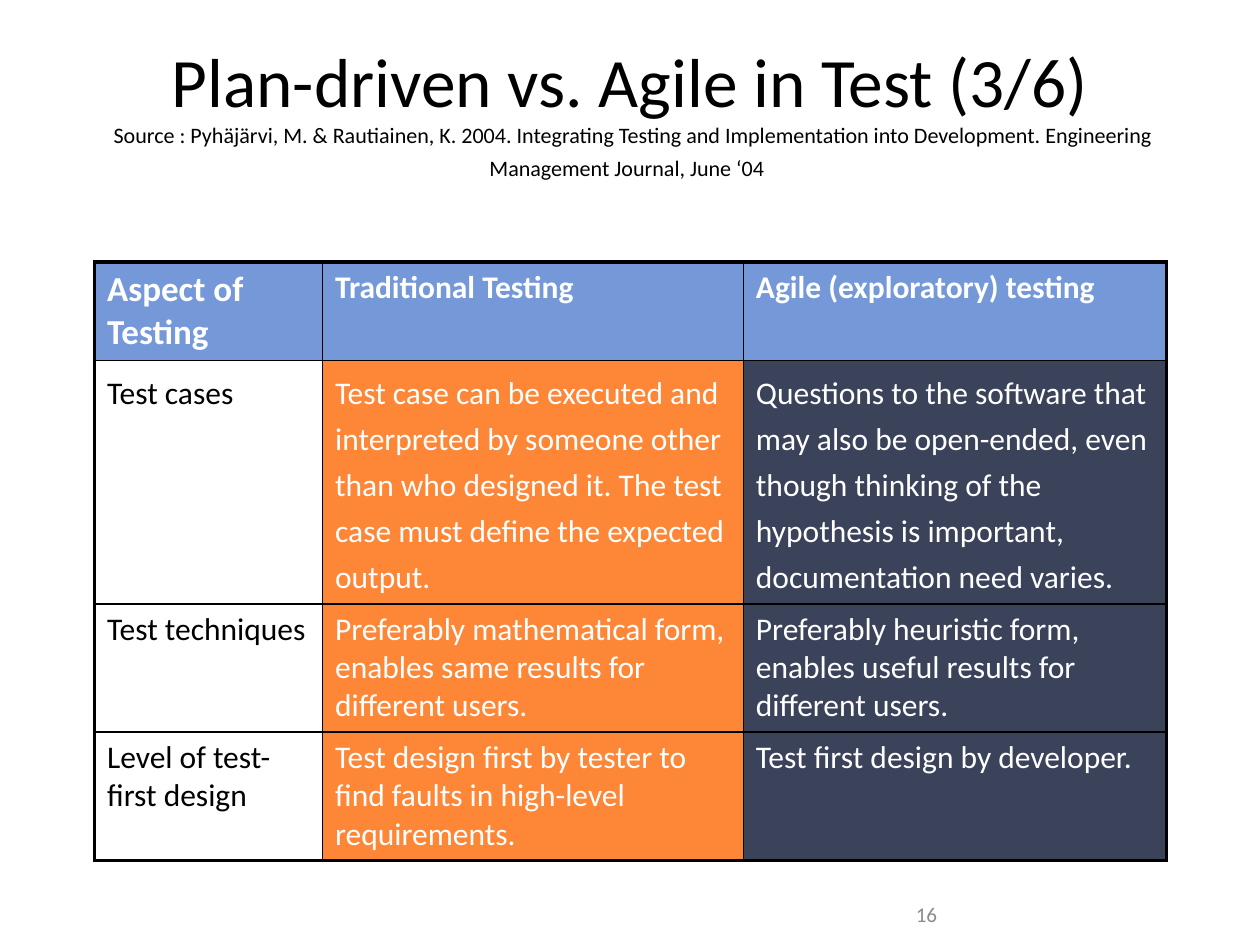
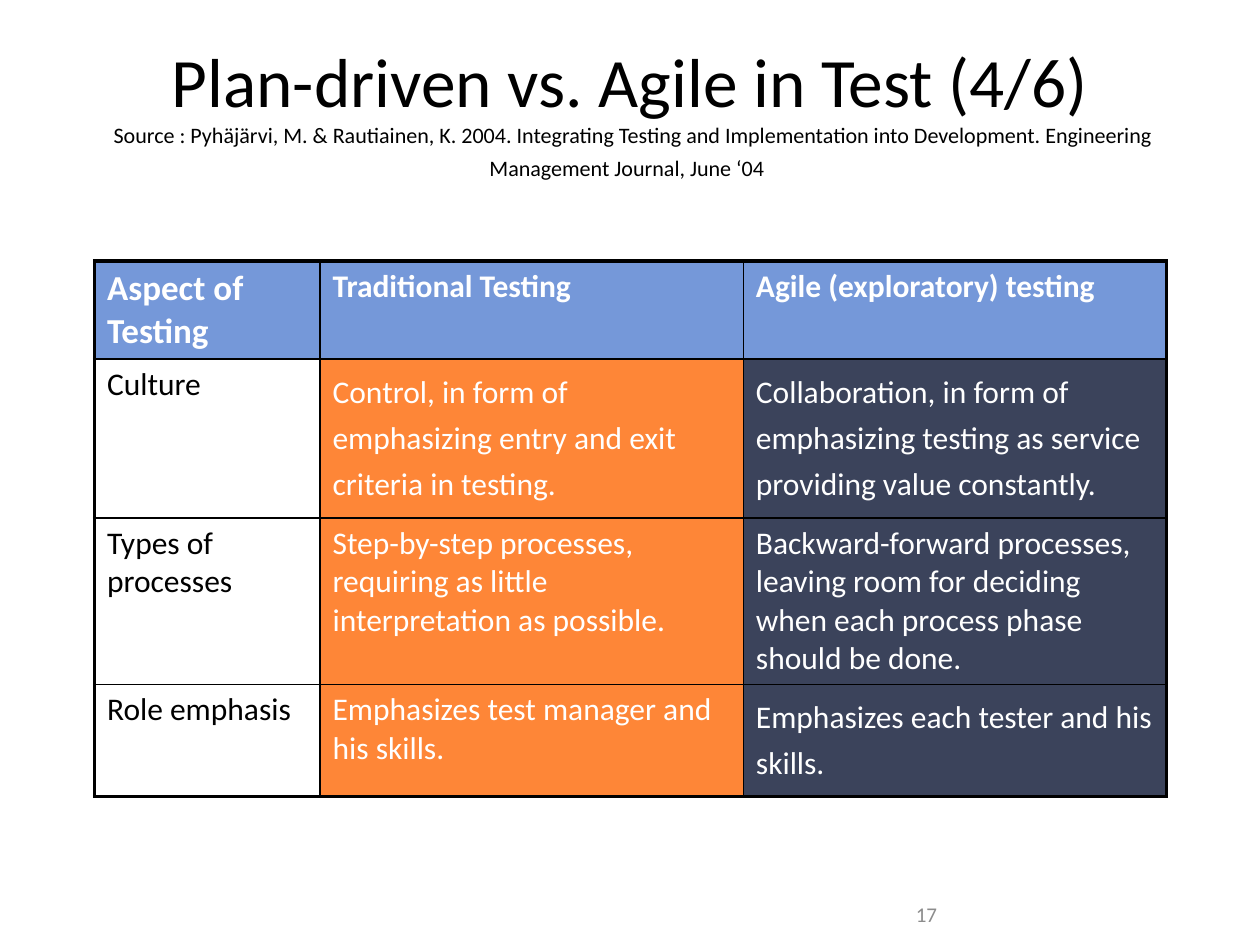
from lxml.etree import SubElement
from pptx import Presentation
from pptx.dml.color import RGBColor
from pptx.enum.text import MSO_ANCHOR, MSO_AUTO_SIZE, PP_ALIGN
from pptx.oxml.ns import qn
from pptx.util import Inches, Pt

COLORS = {"black": "000000", "white": "FFFFFF", "header": "7598D9",
          "traditional": "FE8637", "agile": "3B435B", "number": "8C8C8C"}
FORMATS = {
    "title": {"size": 39.6, "color": "black"},
    "source": {"size": 12.6, "color": "black"},
    "source_end": {"size": 16.2, "color": "black"},
    "corner": {"size": 20, "color": "white", "bold": True},
    "header": {"size": 18, "color": "white", "bold": True},
    "aspect": {"size": 18, "color": "black", "bold": False},
    "detail": {"size": 18, "color": "white", "bold": False},
    "number": {"size": 12, "color": "number"},
}
COLUMN_FILLS = ["white", "traditional", "agile"]
HEADERS = ["Aspect of Testing", "Traditional Testing", "Agile (exploratory) testing"]
SOURCE = (" Source : Pyhäjärvi, M. & Rautiainen, K. 2004. Integrating Testing and "
          "Implementation into Development. Engineering Management Journal, June ‘04")
THICK, THIN = 2.25, 1

SLIDES = [
    {"title": "Plan-driven vs. Agile in Test (3/6)", "number": "16", "top": 2.08,
     "widths": [1.81, 3.34, 3.36], "heights": [0.78, 1.93, 1.02, 1.02],
     "loose": {(1, 0), (1, 1), (1, 2)},
     "rows": [
         ["Test cases",
          "Test case can be executed and interpreted by someone other than who "
          "designed it. The test case must define the expected output.",
          "Questions to the software that may also be open-ended, even though "
          "thinking of the hypothesis is important, documentation need varies."],
         ["Test techniques",
          "Preferably mathematical form, enables same results for different users.",
          "Preferably heuristic form, enables useful results for different users."],
         ["Level of test-first design",
          "Test design first by tester to find faults in high-level requirements.",
          "Test first design by developer."]]},
    {"title": "Plan-driven vs. Agile in Test (4/6)", "number": "17", "top": 2.07,
     "widths": [1.79, 3.36, 3.36], "heights": [0.78, 1.26, 1.32, 0.89],
     "loose": {(1, 1), (1, 2), (3, 2)},
     "rows": [
         ["Culture",
          "Control, in form of emphasizing entry and exit criteria in testing.",
          "Collaboration, in form of emphasizing testing as service providing "
          "value constantly."],
         ["Types of processes",
          "Step-by-step processes, requiring as little interpretation as possible.",
          "Backward-forward processes, leaving room for deciding when each "
          "process phase should be done."],
         ["Role emphasis",
          "Emphasizes test manager and his skills.",
          "Emphasizes each tester and his skills."]]},
]


class Deck:
    def __init__(self):
        self.prs = Presentation()
        self.prs.slide_width, self.prs.slide_height = Inches(10), Inches(7.5)
        self.s = None

    def add_slide(self):
        self.s = self.prs.slides.add_slide(self.prs.slide_layouts[5])

    def run(self, p, text, style):
        r = p.add_run()
        r.text = text
        values = {"name": "Calibri", **FORMATS[style]}
        values["size"] = Pt(values["size"])
        r.font.color.rgb = RGBColor.from_string(COLORS[values.pop("color")])
        for key, value in values.items():
            setattr(r.font, key, value)

    def title(self, text):
        sp = self.s.shapes.title
        sp.left, sp.top, sp.width, sp.height = map(Inches, (0.75, 0.25, 8.5, 1.25))
        tf = sp.text_frame
        tf.auto_size = MSO_AUTO_SIZE.NONE
        tf.vertical_anchor = MSO_ANCHOR.MIDDLE
        p = tf.paragraphs[0]
        p.alignment = PP_ALIGN.CENTER
        self.run(p, text, "title")
        p.add_line_break()
        self.run(p, SOURCE, "source")
        self.run(p, " ", "source_end")

    def borders(self, cell, widths):
        tcPr = cell._tc.get_or_add_tcPr()
        for side, width in zip("LRTB", widths):
            ln = SubElement(tcPr, qn(f"a:ln{side}"), w=str(Pt(width)))
            fill = SubElement(ln, qn("a:solidFill"))
            SubElement(fill, qn("a:srgbClr"), val=COLORS["black"])

    def cell(self, cell, text, style, fill, widths, loose):
        self.borders(cell, widths)
        cell.fill.solid()
        cell.fill.fore_color.rgb = RGBColor.from_string(COLORS[fill])
        p = cell.text_frame.paragraphs[0]
        if loose:
            p.line_spacing = 1.2
        self.run(p, text, style)

    def table(self, top, widths, heights, rows, loose):
        rows = [HEADERS, *rows]
        frame = self.s.shapes.add_table(
            len(rows), len(widths), Inches(0.75), Inches(top),
            Inches(sum(widths)), Inches(sum(heights)))
        table = frame.table
        table.horz_banding = False
        for column, width in zip(table.columns, widths):
            column.width = Inches(width)
        for row, height in zip(table.rows, heights):
            row.height = Inches(height)
        last_row, last_col = len(rows) - 1, len(widths) - 1
        for i, texts in enumerate(rows):
            for j, text in enumerate(texts):
                if i == 0:
                    style, fill = "header" if j else "corner", "header"
                else:
                    style, fill = "detail" if j else "aspect", COLUMN_FILLS[j]
                edges = [j == 0, j == last_col, i == 0, i == last_row]
                lines = [THICK if edge else THIN for edge in edges]
                self.cell(table.cell(i, j), text, style, fill, lines, (i, j) in loose)

    def number(self, text):
        sp = self.s.shapes.add_textbox(*map(Inches, (7.17, 7.17, 2.08, 0.17)))
        tf = sp.text_frame
        tf.word_wrap = True
        tf.vertical_anchor = MSO_ANCHOR.MIDDLE
        tf.margin_top = tf.margin_bottom = 0
        self.run(tf.paragraphs[0], text, "number")


def main():
    deck = Deck()
    for data in SLIDES:
        deck.add_slide()
        deck.table(data["top"], data["widths"], data["heights"], data["rows"], data["loose"])
        deck.title(data["title"])
        deck.number(data["number"])
    deck.prs.save("out.pptx")


if __name__ == "__main__":
    main()
